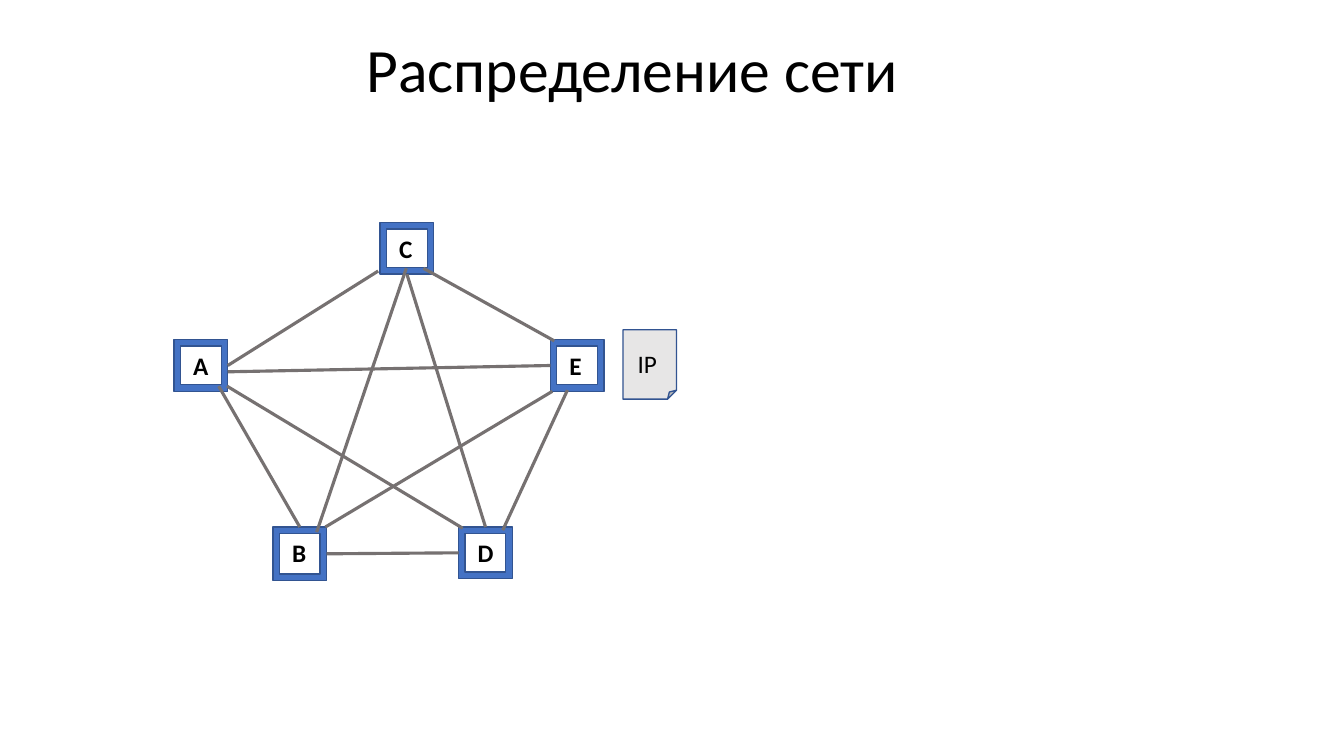
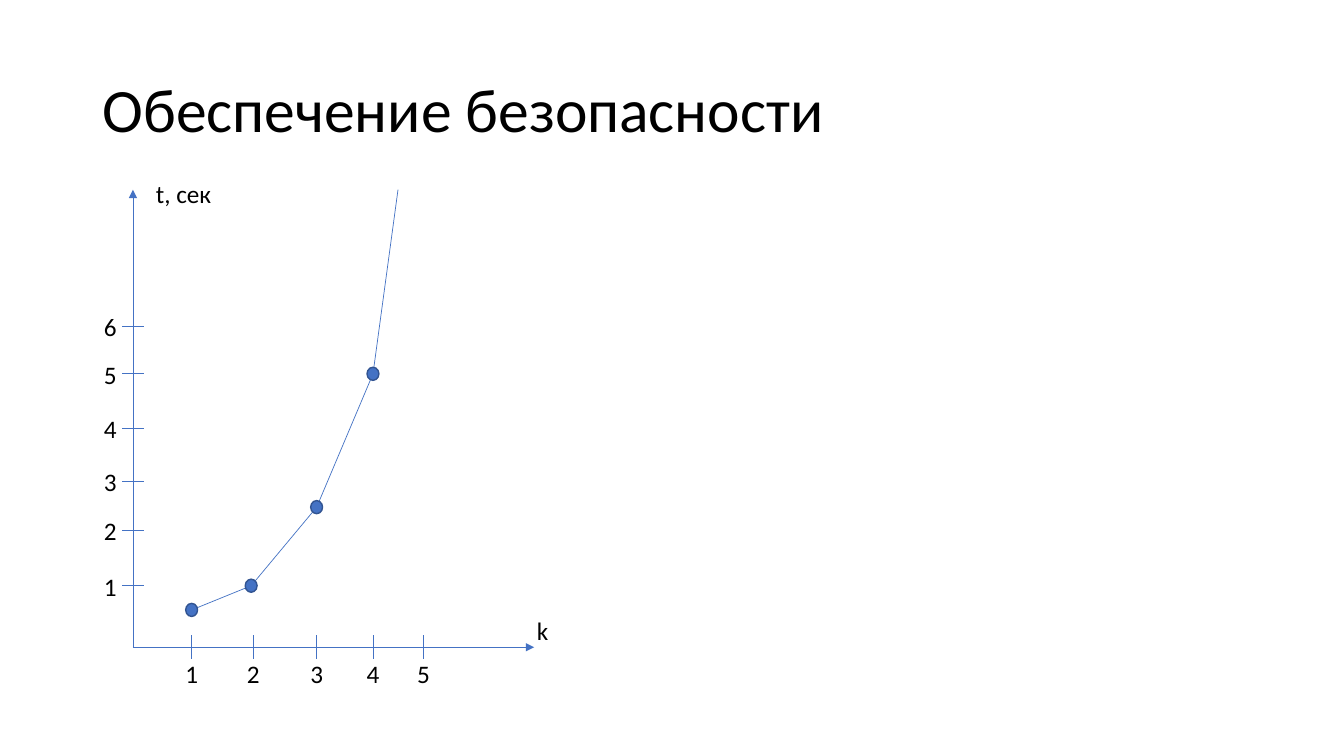
"""Build two slides: a five-node network and a time-against-k graph."""
from dataclasses import dataclass
from itertools import pairwise

from lxml.etree import SubElement
from pptx import Presentation
from pptx.dml.color import RGBColor as Rgb
from pptx.enum.shapes import MSO_CONNECTOR as Connector, MSO_SHAPE as Shape
from pptx.enum.text import MSO_ANCHOR as Anchor
from pptx.oxml.ns import qn
from pptx.util import Cm, Pt


@dataclass(frozen=True)
class Theme:
    font: str = "Calibri"
    text: Rgb = Rgb(0x00, 0x00, 0x00)
    accent: Rgb = Rgb(0x44, 0x72, 0xC4)
    outline: Rgb = Rgb(0x32, 0x54, 0x91)
    link: Rgb = Rgb(0x76, 0x71, 0x71)
    sheet: Rgb = Rgb(0xE7, 0xE6, 0xE6)
    title_size: Pt = Pt(44)
    label_size: Pt = Pt(18)
    outline_width: Pt = Pt(1)
    link_width: Pt = Pt(2.25)
    graph_width: Pt = Pt(0.5)


theme = Theme()
TOP, LEFT, BOTTOM, RIGHT = range(4)


def add_text(slide, text, left, top, width, height=1.02, size=theme.label_size, bold=False, wrap=False):
    box = slide.shapes.add_textbox(Cm(left), Cm(top), Cm(width), Cm(height))
    box.text_frame.word_wrap = wrap
    para = box.text_frame.paragraphs[0]
    span = para.add_run()
    span.text = text
    span.font.name = theme.font
    span.font.size = size
    span.font.bold = bold
    span.font.color.rgb = theme.text
    return box


def add_line(slide, start, finish, color, width, arrow=False):
    line = slide.shapes.add_connector(Connector.STRAIGHT, *(Cm(value) for value in (*start, *finish)))
    line.line.color.rgb = color
    line.line.width = width
    if arrow:
        SubElement(line.line._get_or_add_ln(), qn("a:tailEnd"), type="triangle")
    SubElement(line._element.spPr, qn("a:effectLst"))
    return line


deck = Presentation()
deck.slide_width, deck.slide_height = Cm(33.87), Cm(19.05)
blank = deck.slide_layouts[6]
slides = []
for text, left, top in (("Распределение сети", 8.99, 0), ("Обеспечение безопасности", 2.34, 1.02)):
    slide = deck.slides.add_slide(blank)
    title = add_text(slide, text, left, top, 24.8, 3.64, theme.title_size, wrap=True)
    title.text_frame.vertical_anchor = Anchor.MIDDLE
    title.text_frame.paragraphs[0].line_spacing = 0.9
    slides.append(slide)
network, graph = slides
filled = []

node_width = 1.35
nodes = {
    "А": (4.39, 8.56, 1.3),
    "B": (6.88, 13.28, 1.35),
    "C": (9.58, 5.61, 1.3),
    "D": (11.56, 13.28, 1.3),
    "E": (13.87, 8.56, 1.3),
}
frames = {}
for name, (left, top, height) in nodes.items():
    frames[name] = network.shapes.add_shape(Shape.FRAME, Cm(left), Cm(top), Cm(node_width), Cm(height))
    filled.append((frames[name], theme.accent))

links = [
    ((5.74, 9.2), (9.53, 6.83), ("А", RIGHT), None),
    ((5.74, 9.37), (13.87, 9.2), None, ("E", LEFT)),
    ((7.55, 13.28), (5.51, 9.73), ("B", TOP), None),
    ((7.98, 13.41), (10.24, 6.76), None, None),
    ((8.23, 13.96), (11.56, 13.93), ("B", RIGHT), ("D", LEFT)),
    ((13.92, 9.86), (8.2, 13.28), None, None),
    ((12.24, 13.28), (10.25, 6.91), ("D", TOP), ("C", BOTTOM)),
    ((13.97, 8.59), (10.67, 6.76), None, None),
    ((11.66, 13.31), (5.72, 9.73), None, None),
    ((12.67, 13.36), (14.3, 9.83), None, None),
]
for start, finish, begin, end in links:
    link = add_line(network, start, finish, theme.link, theme.link_width)
    if begin:
        link.begin_connect(frames[begin[0]], begin[1])
    if end:
        link.end_connect(frames[end[0]], end[1])

for name, (left, top, height) in nodes.items():
    add_text(network, name, left + 0.23, top + 0.14, 1.78, bold=True, wrap=True)

sheet = network.shapes.add_shape(Shape.FOLDED_CORNER, Cm(15.7), Cm(8.31), Cm(1.35), Cm(1.75))
filled.append((sheet, theme.sheet))
add_text(network, "IP", 15.82, 8.66, 0.99)

origin_x, origin_y = 3.35, 16.31
axis_top = 4.78
x_ticks = [4.83, 6.38, 7.98, 9.4, 10.67]
y_ticks = [14.76, 13.36, 12.12, 10.8, 9.42, 8.23]
curve = [(4.83, 15.37), (6.33, 14.76), (7.98, 12.78), (9.4, 9.42), (10.03, axis_top)]
tick_x, tick_y = 0.27, 0.3
dot_width, dot_height = 0.3, 0.33

for finish in ((13.46, origin_y), (origin_x, axis_top)):
    add_line(graph, (origin_x, origin_y), finish, theme.accent, theme.graph_width, arrow=True)
segments = [((x, origin_y - tick_y), (x, origin_y + tick_y)) for x in x_ticks]
segments += [((origin_x - tick_x, y), (origin_x + tick_x, y)) for y in y_ticks]
segments += pairwise(curve)
for start, finish in segments:
    add_line(graph, start, finish, theme.accent, theme.graph_width)

for x, y in curve[:-1]:
    dot = graph.shapes.add_shape(
        Shape.OVAL, Cm(x - dot_width / 2), Cm(y - dot_height / 2), Cm(dot_width), Cm(dot_height)
    )
    filled.append((dot, theme.accent))

for number, x in enumerate(x_ticks, 1):
    add_text(graph, str(number), x - 0.41, 16.47, 0.84)
for number, y in enumerate(y_ticks, 1):
    add_text(graph, str(number), 2.37, y - 0.5, 0.84)
add_text(graph, "k", 13.28, 15.37, 0.81)
add_text(graph, "t, сек", 3.68, 4.37, 1.93)

for shape, color in filled:
    shape.shadow.inherit = False
    shape.fill.solid()
    shape.fill.fore_color.rgb = color
    shape.line.color.rgb = theme.outline
    shape.line.width = theme.outline_width

deck.save("out.pptx")
